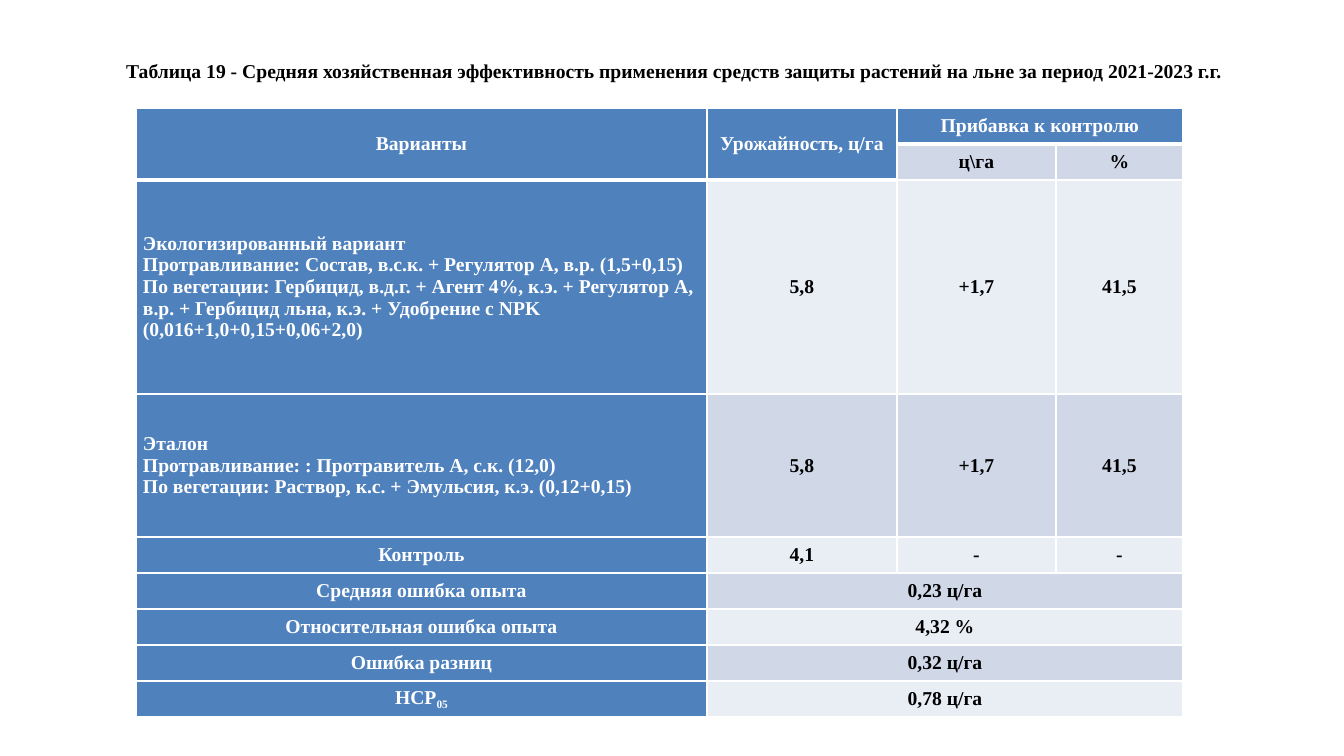
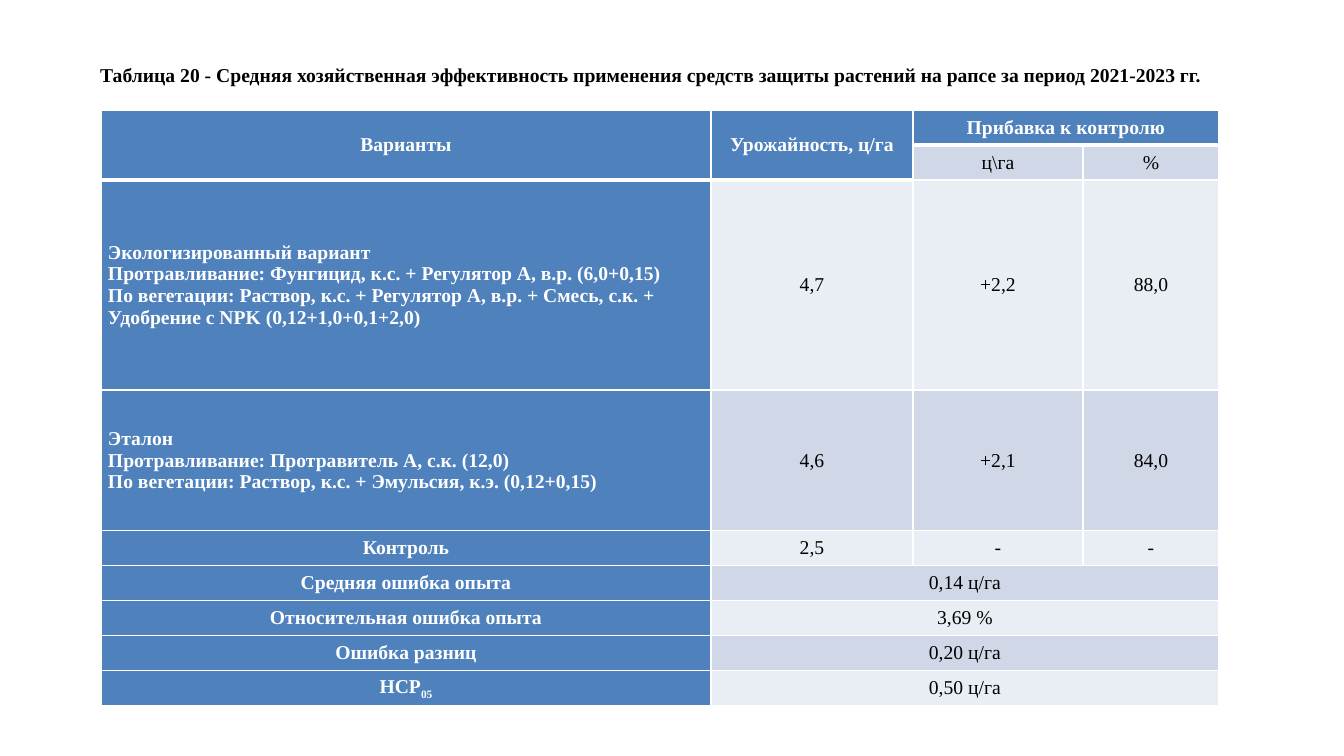
from dataclasses import dataclass

from lxml.etree import SubElement
from pptx import Presentation
from pptx.dml.color import RGBColor as RGB
from pptx.enum.text import MSO_ANCHOR as ANCHOR, MSO_AUTO_SIZE as AUTO, PP_ALIGN as ALIGN
from pptx.oxml.ns import qn
from pptx.util import Emu, Pt


@dataclass(frozen=True)
class Theme:
    accent: str = "4F81BD"
    band_dark: str = "D0D8E8"
    band_light: str = "E9EDF4"
    white: str = "FFFFFF"
    black: str = "000000"
    font: str = "Times New Roman"
    size: int = 14
    thin: int = 1
    thick: int = 3
    subscript: int = -25000


T = Theme()
SCALE = 12192000 / 1344
HEADER = ["Варианты", "Урожайность, ц/га", "Прибавка к контролю"]
UNITS = ["", "", "ц\\га", "%"]
ERRORS = ["Средняя ошибка опыта", "Относительная ошибка опыта", "Ошибка разниц", "НСР_05"]

SLIDES = [
    dict(
        title="Таблица 19 - Средняя хозяйственная эффективность применения средств "
              "защиты растений на льне за период 2021-2023 г.г.",
        title_box=(116, 54, 1132, 34),
        table_at=(136, 108),
        cols=(571, 190, 159, 127),
        rows=(36, 36, 214, 143, 36, 36, 36, 36, 36),
        bold=True,
        variants=[
            ["Экологизированный вариант\n"
             "Протравливание: Состав, в.с.к. + Регулятор А, в.р. (1,5+0,15)\n"
             "По вегетации: Гербицид, в.д.г. + Агент 4%, к.э. + Регулятор А, в.р. + "
             "Гербицид льна, к.э. + Удобрение с NPK (0,016+1,0+0,15+0,06+2,0)",
             "5,8", "+1,7", "41,5"],
            ["Эталон\n"
             "Протравливание: : Протравитель А, с.к. (12,0)\n"
             "По вегетации: Раствор, к.с. + Эмульсия, к.э. (0,12+0,15)",
             "5,8", "+1,7", "41,5"],
            ["Контроль", "4,1", "-", "-"],
        ],
        errors=["0,23 ц/га", "4,32 %", "0,32 ц/га", "0,78 ц/га"],
    ),
    dict(
        title="Таблица 20 - Средняя хозяйственная эффективность применения средств "
              "защиты растений на рапсе за период 2021-2023 гг.",
        title_box=(90, 58, 1140, 34),
        table_at=(101, 110),
        cols=(610, 202, 170, 136),
        rows=(35, 35, 210, 141, 35, 35, 35, 35, 35),
        bold=False,
        variants=[
            ["Экологизированный вариант\n"
             "Протравливание: Фунгицид, к.с. + Регулятор А, в.р. (6,0+0,15)\n"
             "По вегетации: Раствор, к.с. + Регулятор А, в.р. + Смесь, с.к. + "
             "Удобрение с NPK (0,12+1,0+0,1+2,0)",
             "4,7", "+2,2", "88,0"],
            ["Эталон\n"
             "Протравливание: Протравитель А, с.к. (12,0)\n"
             "По вегетации: Раствор, к.с. + Эмульсия, к.э. (0,12+0,15)",
             "4,6", "+2,1", "84,0"],
            ["Контроль", "2,5", "-", "-"],
        ],
        errors=["0,14 ц/га", "3,69 %", "0,20 ц/га", "0,50 ц/га"],
    ),
]


def px(n):
    return Emu(round(n * SCALE))


def style_run(r, color, bold):
    f = r.font
    f.name, f.size, f.bold = T.font, Pt(T.size), bold
    f.color.rgb = RGB.from_string(color)


def add_title(s, text, box):
    sp = s.shapes.title
    sp.left, sp.top, sp.width, sp.height = map(px, box)
    tf = sp.text_frame
    tf.text = text
    tf.word_wrap = False
    tf.auto_size = AUTO.SHAPE_TO_FIT_TEXT
    tf.vertical_anchor = ANCHOR.MIDDLE
    p = tf.paragraphs[0]
    p.alignment = ALIGN.JUSTIFY
    style_run(p.runs[0], T.black, True)


def is_header(row, col):
    return row == 0 or (row == 1 and col < 2)


def set_borders(cell, top, bottom):
    tc_pr = cell._tc.get_or_add_tcPr()
    for side, width in zip("LRTB", (T.thin, T.thin, top, bottom)):
        ln = SubElement(tc_pr, qn(f"a:ln{side}"), w=str(Pt(width)))
        fill = SubElement(ln, qn("a:solidFill"))
        SubElement(fill, qn("a:srgbClr"), val=T.white)


def style_cell(cell, row, col):
    header = is_header(row, col)
    below_header = row > 0 and is_header(row - 1, col)
    head_end = header and not is_header(row + 1, col)
    origin_end = row == 0
    set_borders(cell, T.thick if below_header and not header else T.thin,
                T.thick if head_end or origin_end else T.thin)
    band = T.band_dark if row % 2 else T.band_light
    cell.fill.solid()
    cell.fill.fore_color.rgb = RGB.from_string(T.accent if header or col == 0 else band)
    cell.vertical_anchor = ANCHOR.MIDDLE
    cell.margin_left = cell.margin_right = px(7)
    cell.margin_top = cell.margin_bottom = 0


def write_cell(cell, text, color, bold):
    tf = cell.text_frame
    base, _, sub = text.partition("_")
    tf.text = base
    for p in tf.paragraphs:
        p.alignment = ALIGN.LEFT if "\n" in text else ALIGN.CENTER
        for r in p.runs:
            style_run(r, color, bold)
    if sub:
        r = tf.paragraphs[0].add_run()
        r.text = sub
        style_run(r, color, bold)
        r._r.get_or_add_rPr().set("baseline", str(T.subscript))


def add_results(s, at, cols, rows, content, bold):
    x, y = at
    tbl = s.shapes.add_table(len(rows), len(cols), px(x), px(y),
                             px(sum(cols)), px(sum(rows))).table
    tbl.horz_banding = False
    for column, width in zip(tbl.columns, cols):
        column.width = px(width)
    for row, height in zip(tbl.rows, rows):
        row.height = px(height)
    for i in range(len(rows)):
        for j in range(len(cols)):
            style_cell(tbl.cell(i, j), i, j)
    for j in range(2):
        tbl.cell(0, j).merge(tbl.cell(1, j))
    tbl.cell(0, 2).merge(tbl.cell(0, 3))
    for i in range(len(rows) - len(ERRORS), len(rows)):
        tbl.cell(i, 1).merge(tbl.cell(i, 3))
    for i, texts in enumerate(content):
        for j, text in enumerate(texts):
            if text:
                label = is_header(i, j) or j == 0
                write_cell(tbl.cell(i, j), text, T.white if label else T.black, label or bold)


def add_table_slide(prs, data):
    s = prs.slides.add_slide(prs.slide_layouts[5])
    content = [HEADER, UNITS, *data["variants"], *zip(ERRORS, data["errors"])]
    add_results(s, data["table_at"], data["cols"], data["rows"], content, data["bold"])
    add_title(s, data["title"], data["title_box"])


def main():
    prs = Presentation()
    prs.slide_width, prs.slide_height = px(1344), px(756)
    for data in SLIDES:
        add_table_slide(prs, data)
    prs.save("out.pptx")


if __name__ == "__main__":
    main()
